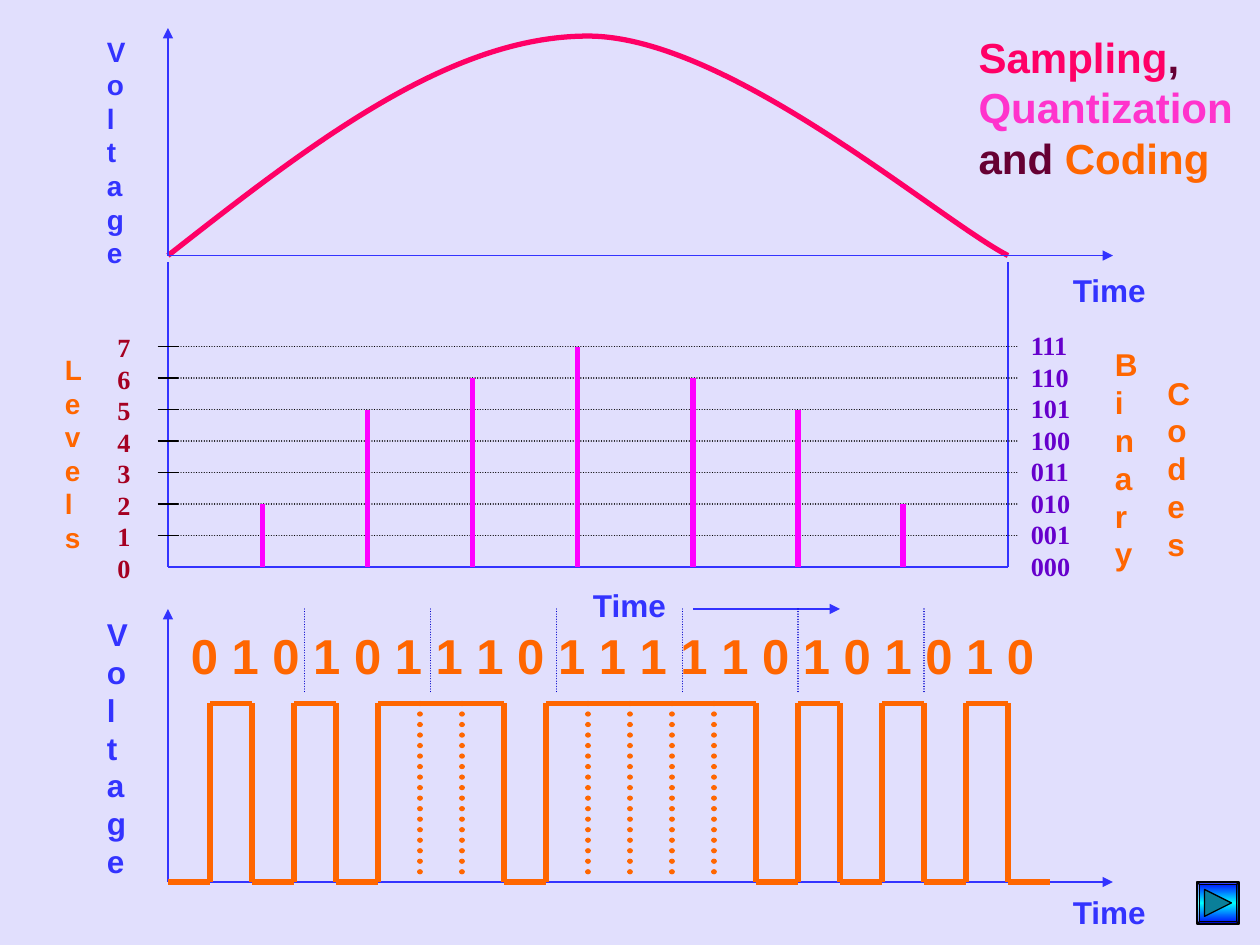
from copy import deepcopy
from itertools import groupby

from lxml import etree
from pptx import Presentation
from pptx.dml.color import RGBColor
from pptx.enum.dml import MSO_LINE
from pptx.enum.shapes import MSO_CONNECTOR, MSO_SHAPE
from pptx.enum.text import MSO_ANCHOR, MSO_AUTO_SIZE, PP_ALIGN
from pptx.oxml.ns import qn
from pptx.util import Inches, Pt

STRAIGHT = MSO_CONNECTOR.STRAIGHT
BEVEL, TRIANGLE = MSO_SHAPE.BEVEL, MSO_SHAPE.ISOSCELES_TRIANGLE
DOTTED = MSO_LINE.ROUND_DOT
TOP, LEFT, NO_FIT = MSO_ANCHOR.TOP, PP_ALIGN.LEFT, MSO_AUTO_SIZE.NONE
BLUE, ORANGE, MAGENTA, ROSE = "3333FF", "FF6600", "FF00FF", "FF0066"
BLACK, PLUM, NAVY = "000000", "660033", "0000CC"
CELLS_PER_INCH = 12


def color(hex_code):
    return RGBColor.from_string(hex_code)


def cell(count):
    return Inches(count / CELLS_PER_INCH)


class Board:
    def __init__(self, deck, background):
        self.slide = deck.slides.add_slide(deck.slide_layouts[5])
        self.shapes = self.slide.shapes
        self.slide.background.fill.solid()
        self.slide.background.fill.fore_color.rgb = color(background)

    def set_text(self, frame, runs, size, font="Arial", wrap=True):
        frame.word_wrap = wrap
        frame.auto_size = NO_FIT
        frame.vertical_anchor = TOP
        paragraph = frame.paragraphs[0]
        paragraph.alignment = LEFT
        for words, shade in runs:
            run = paragraph.add_run()
            run.text = words
            run.font.name = font
            run.font.size = Pt(size)
            run.font.bold = True
            run.font.color.rgb = color(shade)

    def title(self, box, runs, size):
        heading = self.shapes.title
        heading.left, heading.top, heading.width, heading.height = map(cell, box)
        self.set_text(heading.text_frame, runs, size)

    def label(self, box, words, shade, size=18, font="Arial", wrap=True):
        holder = self.shapes.add_textbox(*map(cell, box))
        self.set_text(holder.text_frame, [(words, shade)], size, font, wrap)

    def line(self, start, end, shade, width, dash=None, arrow=False):
        stroke = self.shapes.add_connector(STRAIGHT, *map(cell, (*start, *end)))
        stroke.line.color.rgb = color(shade)
        stroke.line.width = Pt(width)
        outline = stroke.line._get_or_add_ln()
        if dash:
            stroke.line.dash_style = dash
            outline.set("cap", "rnd")
        if arrow:
            etree.SubElement(outline, qn("a:tailEnd"), type="triangle")
        etree.SubElement(stroke._element.spPr, qn("a:effectLst"))

    def curve(self, points, shade, width):
        builder = self.shapes.build_freeform(*map(cell, points[0]))
        builder.add_line_segments([tuple(map(cell, p)) for p in points[1:]], close=False)
        wave = builder.convert_to_shape()
        wave.shadow.inherit = False
        wave.fill.background()
        wave.line.color.rgb = color(shade)
        wave.line.width = Pt(width)
        drawing = wave._element.find(".//" + qn("a:path"))
        segments = drawing.findall(qn("a:lnTo"))
        for first in range(0, len(segments), 3):
            bezier = etree.SubElement(drawing, qn("a:cubicBezTo"))
            for segment in segments[first:first + 3]:
                bezier.append(segment[0])
                drawing.remove(segment)

    def block(self, preset, box, width=0.75):
        part = self.shapes.add_shape(preset, *map(cell, box))
        part.shadow.inherit = False
        part.line.color.rgb = color(BLACK)
        part.line.width = Pt(width)
        return part

    def next_button(self, left, top, side):
        frame = self.block(BEVEL, (left, top, side, side))
        frame.adjustments[0] = 0.06
        frame.fill.gradient()
        frame.fill.gradient_angle = 90
        stops = frame._element.spPr.find(".//" + qn("a:gsLst"))
        stops.append(deepcopy(stops[0]))
        shades = ("0000FF", "00FFFF", "0000FF")
        for stop, shade, position in zip(frame.fill.gradient_stops, shades, (0, 0.5, 1)):
            stop.color.rgb = color(shade)
            stop.position = position
        inset = side * 0.18
        arrow = self.block(TRIANGLE, (left + inset, top + inset, side - 2 * inset, side - 2 * inset))
        arrow.rotation = 90
        arrow.fill.solid()
        arrow.fill.fore_color.rgb = color("0A7F99")


def draw_signal(board):
    origin, end = (16, 24.34), (96, 24.34)
    board.curve([origin, (29.33, 13.9), (42.67, 3.44), (56, 3.44),
                 (69.33, 3.44), (89.33, 20.9), end], ROSE, 3)
    board.line(origin, (16, 2.67), BLUE, 0.75, arrow=True)
    board.line(origin, (106, 24.34), BLUE, 0.75, arrow=True)
    board.label((101, 25.2, 12, 4.8), "Time", BLUE)
    board.label((9, 2.67, 3, 23.6), "Voltage", BLUE, 16)


def draw_quantization(board):
    base, level_height = 54, 3
    samples = {25: 2, 35: 5, 45: 6, 55: 7, 66: 6, 76: 5, 86: 2}
    board.line((16, base), (96, base), BLUE, 1.5)
    for side in (16, 96):
        board.line((side, 25), (side, base), BLUE, 1.5)
    for level in range(1, 8):
        row = base - level * level_height
        board.line((15, row), (17, row), BLACK, 0.75)
        board.line((17, row), (97, row), BLACK, 0.75, DOTTED)
    for column, level in samples.items():
        board.line((column, base), (column, base - level * level_height), MAGENTA, 3)
    levels = range(7, -1, -1)
    board.label((10, 31, 3, 25.2), "".join(map(str, levels)), "A50021", 15, "Times New Roman")
    codes = " ".join(format(level, "03b") for level in levels)
    board.label((97, 30.8, 7, 25.2), codes, "6600CC", 15, "Times New Roman")
    board.label((5, 33, 4, 20.4), "Levels", ORANGE, 16)
    board.label((105, 32.3, 4, 27.4), "Binary", ORANGE)
    board.label((110, 35, 4, 19.2), "Codes", ORANGE)
    board.label((55.3, 55.2, 9.4, 4.8), "Time", BLUE, wrap=False)
    board.line((66, 58), (80, 58), BLUE, 1, arrow=True)


def draw_coding(board):
    bits = "010101110111110101010"
    left, bit_width, high, low = 16, 4, 67, 84
    board.label((101, 84.5, 12, 4.8), "Time", BLUE)
    board.line((left, low), (left, 58), BLUE, 1.5, arrow=True)
    board.line((left, low), (106, low), BLUE, 1.5, arrow=True)
    board.label((9, 58, 3, 26.4), "Voltage", BLUE)
    board.label((17, 59, 84, 6.8), " ".join(bits), ORANGE, 28)
    for index, (before, after) in enumerate(zip(bits, bits[1:]), 1):
        column = left + index * bit_width
        board.line((column, high), (column, low), ORANGE, 3, DOTTED if before == after else None)
    column = left
    for bit, run in groupby(bits):
        row = high if bit == "1" else low
        run_end = column + bit_width * len(list(run))
        board.line((column, row), (run_end, row), ORANGE, 3)
        column = run_end
    for separator in (29, 41, 53, 65, 76, 88):
        board.line((separator, 58), (separator, 66), NAVY, 0.75, DOTTED)


def main():
    deck = Presentation()
    deck.slide_width, deck.slide_height = Inches(10), Inches(7.5)
    board = Board(deck, "E1DFFD")
    draw_signal(board)
    draw_quantization(board)
    draw_coding(board)
    board.next_button(114, 84, 4)
    board.title((92, 2.4, 28, 15.6), [
        ("Sampling", ROSE), (", ", PLUM), ("Quantization ", "FF33CC"),
        ("and ", PLUM), ("Coding", ORANGE)], 24)
    deck.save("out.pptx")


if __name__ == "__main__":
    main()
